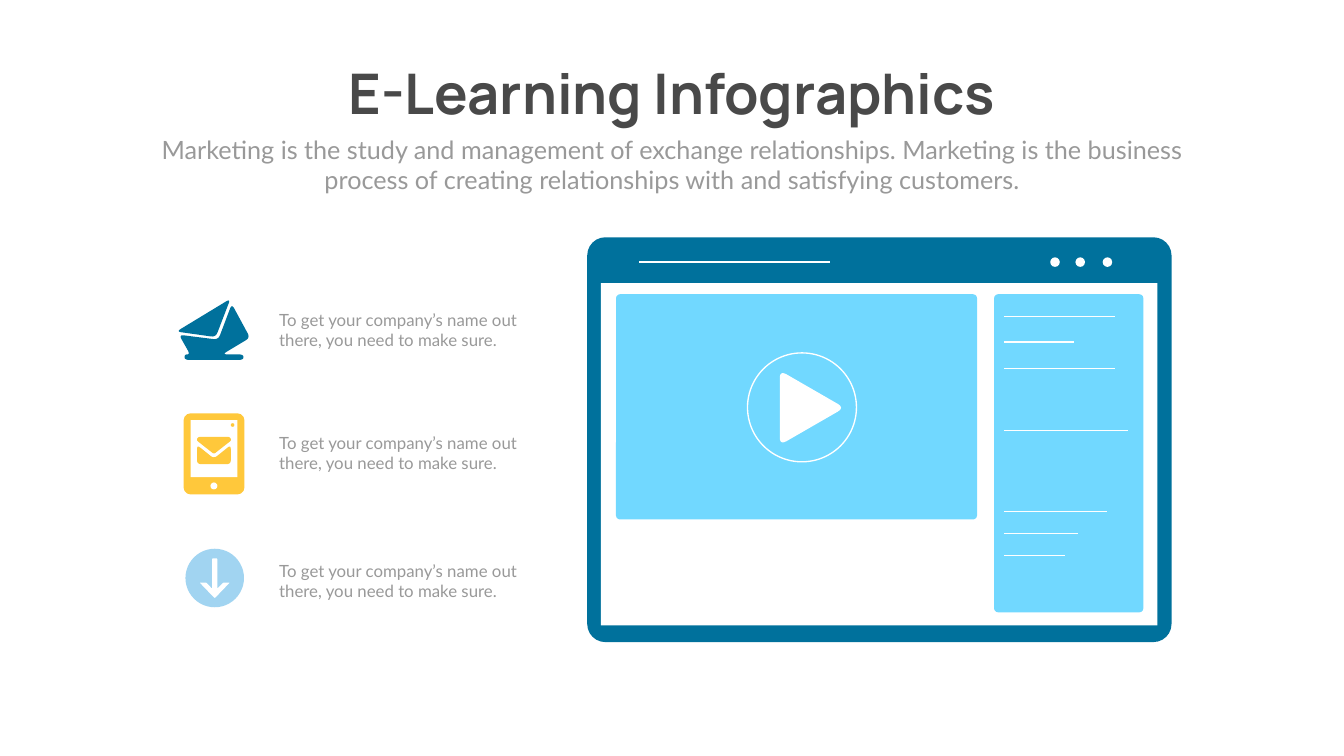
from dataclasses import dataclass

from lxml import etree
from pptx import Presentation
from pptx.dml.color import RGBColor
from pptx.enum import shapes as kinds, text as t
from pptx.oxml.ns import qn
from pptx.util import Cm, Pt


@dataclass(frozen=True)
class Theme:
    heading_font: str = "Manrope"
    body_font: str = "Lato"
    heading_size: int = 80
    lead_size: int = 36
    item_size: int = 24
    ink: str = "494949"
    grey: str = "999999"
    white: str = "FFFFFF"
    navy: str = "00719C"
    sky: str = "71D8FF"
    yellow: str = "FFC83B"
    pale: str = "A1D4F1"
    thin: float = 1.53
    rule: float = 1.9
    thick: float = 2.27


THEME = Theme()

# Content; all lengths in centimetres
HEADING = "E-Learning Infographics"
LEAD = ("Marketing is the study and management of exchange relationships. "
        "Marketing is the business process of creating relationships with "
        "and satisfying customers.")
ITEMS = [(top, "To get your company’s name out there, you need to make sure.")
         for top in (15.49, 21.69, 28.12)]

# Browser window panels: box, corner radius, colour
PANELS = [
    ((29.59, 11.96, 29.44, 20.4), 0.91, THEME.navy),
    ((30.28, 14.27, 28.04, 17.25), 0, THEME.white),
    ((50.09, 14.83, 7.52, 16.03), 0.2, THEME.sky),
    ((31.04, 14.83, 18.19, 11.35), 0.2, THEME.sky),
]
BAR_Y = 13.21
ADDRESS_RULE = (32.21, 41.81)
BAR_DOTS = (53.16, 54.43, 55.8)
SIDEBAR_LEFT = 50.6
SIDEBAR_RULES = [  # y, right end, weight
    (15.94, 56.16, THEME.rule), (17.23, 54.1, THEME.rule),
    (18.58, 56.16, THEME.rule), (21.68, 56.85, THEME.thin),
    (25.77, 55.8, THEME.rule), (26.89, 54.31, THEME.rule),
    (27.99, 53.67, THEME.rule),
]
PLAY_CENTRE = (40.41, 20.53)
PLAY_TRIANGLE = [(39.29, 18.67), (42.55, 20.55), (39.29, 22.43)]

# Icon outlines
LETTER_FLAP = [(8.89, 16.71), (11.61, 15.06), (10.87, 16.99)]
LETTER_BODY = [(11.68, 15.32), (12.6, 17.02), (11.2, 17.86), (12.27, 17.86),
               (12.27, 18.14), (9.3, 18.14), (9.3, 17.86), (9.58, 17.86),
               (9.02, 16.87), (11, 17.12)]
TABLET_BOX = (9.25, 20.83, 3.07, 4.09)
TABLET_SCREEN = (9.6, 21.18, 2.36, 2.87)
MAIL_FLAP = [(9.98, 22.02), (11.58, 22.02), (11.66, 22.19), (10.78, 22.88),
             (9.9, 22.19)]
MAIL_BODY = [(9.93, 22.43), (10.78, 23.11), (11.63, 22.43), (11.63, 23.39),
             (9.93, 23.39)]
DOWN_ARROW = [(10.69, 28.14), (10.95, 28.14), (10.95, 29.67), (11.25, 29.36),
              (11.58, 29.36), (10.82, 30.15), (10.06, 29.36), (10.39, 29.36),
              (10.69, 29.67)]

deck = Presentation()
deck.slide_width, deck.slide_height = Cm(67.72), Cm(38.1)
slide = deck.slides.add_slide(deck.slide_layouts[6])


def paint(shape, fill=None, line=None, weight=THEME.rule):
    shape.shadow.inherit = False
    if fill:
        shape.fill.solid()
        shape.fill.fore_color.rgb = RGBColor.from_string(fill)
    else:
        shape.fill.background()
    if line:
        shape.line.color.rgb = RGBColor.from_string(line)
        shape.line.width = Pt(weight)
    else:
        shape.line.fill.background()


def panel(box, radius, fill):
    kind = kinds.MSO_SHAPE.ROUNDED_RECTANGLE if radius else kinds.MSO_SHAPE.RECTANGLE
    block = slide.shapes.add_shape(kind, *map(Cm, box))
    if radius:
        block.adjustments[0] = radius / min(box[2:])
    paint(block, fill)


def disc(centre, diameter, fill=None, line=None):
    left, top = (c - diameter / 2 for c in centre)
    circle = slide.shapes.add_shape(kinds.MSO_SHAPE.OVAL, Cm(left), Cm(top),
                                    Cm(diameter), Cm(diameter))
    paint(circle, fill, line)


def rule(start, end, y, weight):
    stroke = slide.shapes.add_connector(kinds.MSO_CONNECTOR.STRAIGHT,
                                        Cm(start), Cm(y), Cm(end), Cm(y))
    stroke.line.color.rgb = RGBColor.from_string(THEME.white)
    stroke.line.width = Pt(weight)
    etree.SubElement(stroke._element.spPr, qn("a:effectLst"))


def toward(a, b, distance):
    length = ((b[0] - a[0]) ** 2 + (b[1] - a[1]) ** 2) ** 0.5
    share = min(distance / length, 0.5)
    return a[0] + (b[0] - a[0]) * share, a[1] + (b[1] - a[1]) * share


def outline(corners, trim, fill, steps=6):
    """Polygon whose corners are softened by a quadratic curve."""
    points = []
    for i, corner in enumerate(corners):
        enter = toward(corner, corners[i - 1], trim)
        leave = toward(corner, corners[(i + 1) % len(corners)], trim)
        for k in range(steps + 1):
            s = k / steps
            points.append(tuple(
                Cm((1 - s) ** 2 * a + 2 * s * (1 - s) * b + s ** 2 * c)
                for a, b, c in zip(enter, corner, leave)))
    builder = slide.shapes.build_freeform(*points[0])
    builder.add_line_segments(points[1:], close=True)
    paint(builder.convert_to_shape(), fill)


def write(box, words, font, size, colour, align, bold=False, wrap=True):
    frame = slide.shapes.add_textbox(*map(Cm, box)).text_frame
    frame.word_wrap = wrap
    frame.auto_size = t.MSO_AUTO_SIZE.SHAPE_TO_FIT_TEXT
    paragraph = frame.paragraphs[0]
    paragraph.alignment = align
    run = paragraph.add_run()
    run.text = words
    run.font.name, run.font.size, run.font.bold = font, Pt(size), bold
    run.font.color.rgb = RGBColor.from_string(colour)


# Heading and lead
write((15.9, 2.84, 35.92, 3.68), HEADING, THEME.heading_font,
      THEME.heading_size, THEME.ink, t.PP_ALIGN.CENTER, bold=True, wrap=False)
write((7.42, 6.63, 52.88, 3.33), LEAD, THEME.body_font, THEME.lead_size,
      THEME.grey, t.PP_ALIGN.CENTER)

# Browser window
for box, radius, colour in PANELS:
    panel(box, radius, colour)
rule(*ADDRESS_RULE, BAR_Y, THEME.thick)
for x in BAR_DOTS:
    disc((x, BAR_Y), 0.48, THEME.white)
for y, end, weight in SIDEBAR_RULES:
    rule(SIDEBAR_LEFT, end, y, weight)
outline(PLAY_TRIANGLE, 0.4, THEME.white)
disc(PLAY_CENTRE, 5.49, line=THEME.white)

# Letter icon
outline(LETTER_FLAP, 0.25, THEME.navy)
outline(LETTER_BODY, 0.25, THEME.navy)

# Tablet icon
panel(TABLET_BOX, 0.36, THEME.yellow)
panel(TABLET_SCREEN, 0, THEME.white)
disc((10.78, 24.49), 0.35, THEME.white)
disc((11.72, 21.42), 0.18, THEME.yellow)
outline(MAIL_FLAP, 0.1, THEME.yellow)
outline(MAIL_BODY, 0.2, THEME.yellow)

# Download icon
disc((10.82, 29.13), 2.95, THEME.pale)
outline(DOWN_ARROW, 0.06, THEME.white)

# Item texts
for top, words in ITEMS:
    write((13.82, top, 13.31, 2.31), words, THEME.body_font, THEME.item_size,
          THEME.grey, t.PP_ALIGN.LEFT)

deck.save("out.pptx")
